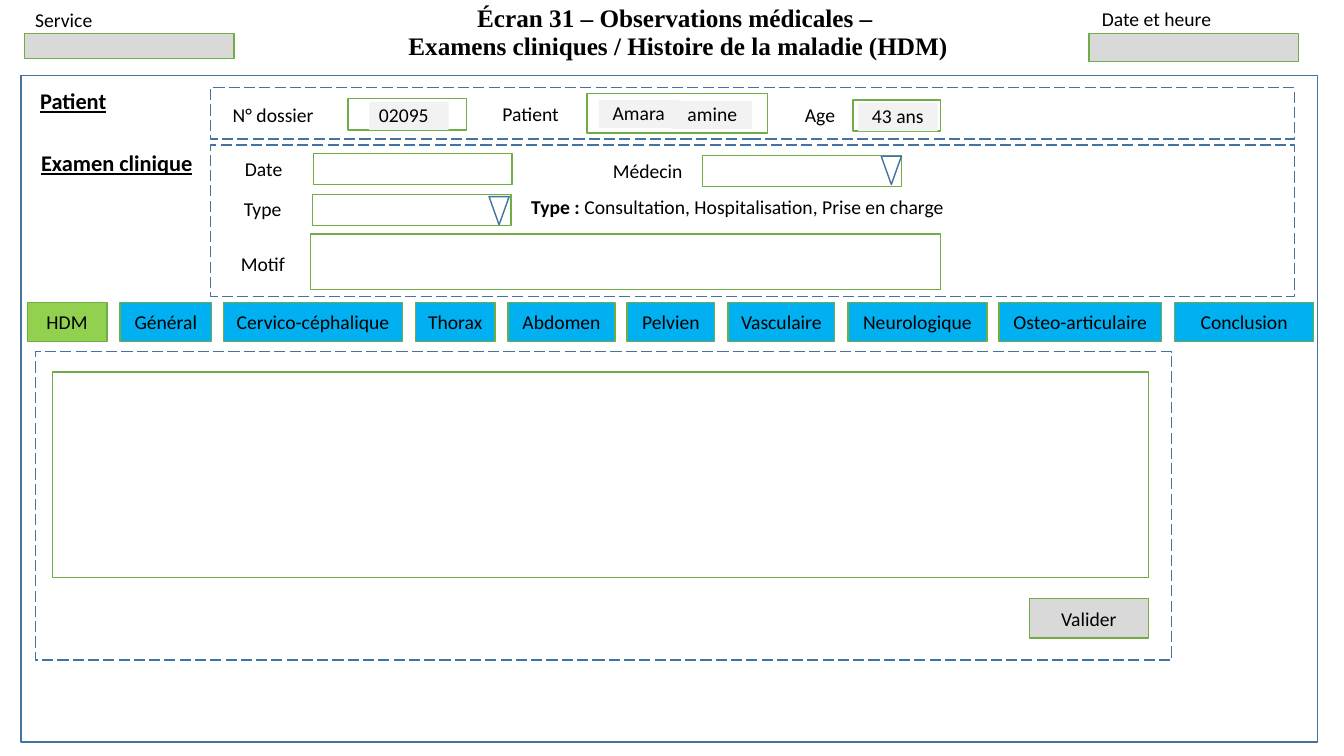
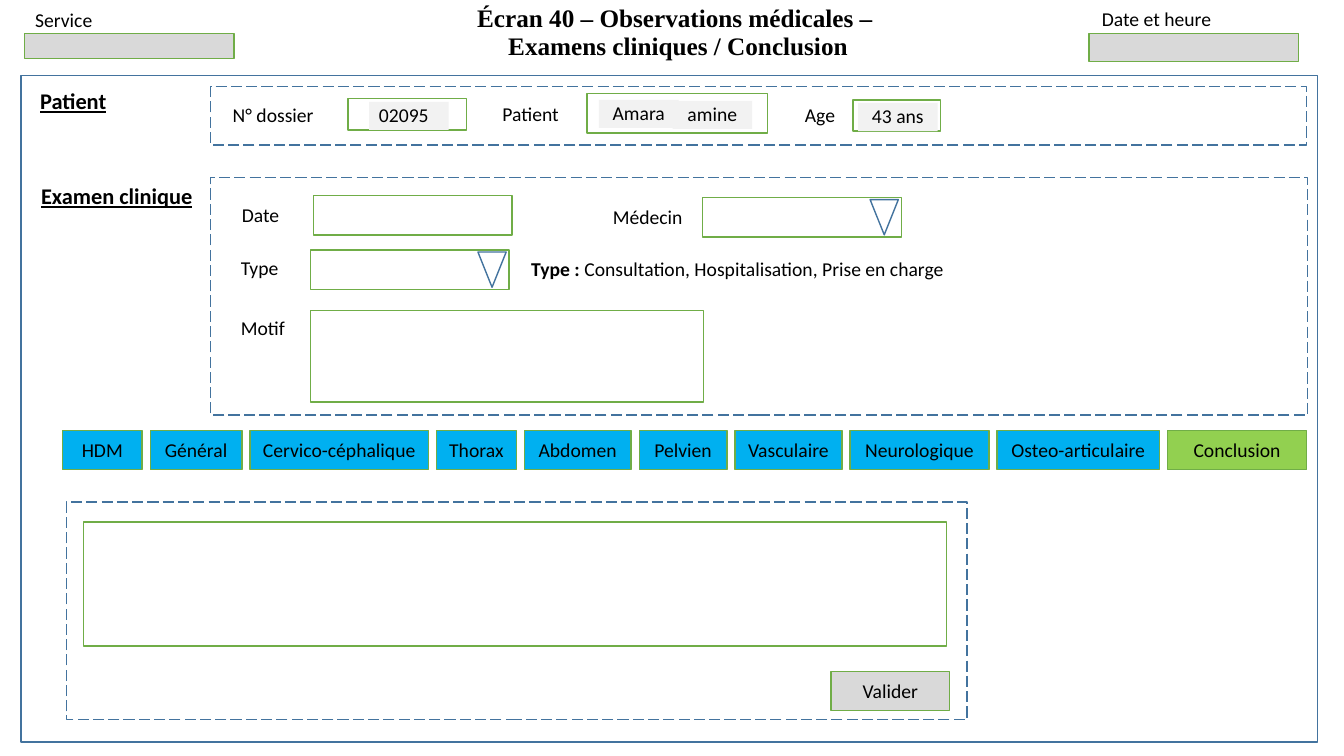
from itertools import accumulate

from pptx import Presentation
from pptx.dml.color import RGBColor
from pptx.enum.dml import MSO_LINE
from pptx.enum.shapes import MSO_SHAPE
from pptx.enum.text import MSO_ANCHOR, PP_ALIGN
from pptx.util import Emu, Pt

EMU_PER_PX = 9144
SLIDE_SIZE = (1333, 750)
COLORS = {
    "text": "000000",
    "frame": "43739E",
    "field": "70AD47",
    "button": "D9D9D9",
    "value": "F2F2F2",
    "tab": "00B0F0",
    "active": "92D050",
}
TABS = {
    "HDM": 79,
    "Général": 91,
    "Cervico-céphalique": 177,
    "Thorax": 79,
    "Abdomen": 106,
    "Pelvien": 87,
    "Vasculaire": 106,
    "Neurologique": 138,
    "Osteo-articulaire": 161,
    "Conclusion": 138,
}
TAB_HEIGHT = 39
SCREENS = [
    {
        "title": ["Écran 31 – Observations médicales – ",
                  "Examens cliniques / Histoire de la maladie (HDM)"],
        "patient_frame": (209, 87, 1075, 51),
        "exam_frame": (209, 144, 1075, 150),
        "exam_heading": (31, 143, 180, 37),
        "labels": {
            "Date": (233, 147, 79, 42),
            "Type": (232, 189, 79, 39),
            "Motif": (229, 245, 79, 35),
        },
        "doctor_label": (586, 150, 113, 40),
        "fields": [(311, 152, 197, 31), (308, 232, 625, 55)],
        "selects": [(310, 193, 197, 31), (697, 154, 197, 31)],
        "arrows": [(485, 195, 20, 28), (874, 155, 20, 28)],
        "type_note": (517, 184, 440, 45),
        "tabs": (27, 1303, 300),
        "active": "HDM",
        "result_frame": (35, 349, 1127, 306),
        "result_field": (52, 369, 1087, 204),
        "validate": (1021, 594, 118, 39),
    },
    {
        "title": ["Écran 40 – Observations médicales – ",
                  "Examens cliniques / Conclusion"],
        "patient_frame": (209, 86, 1087, 58),
        "exam_frame": (209, 176, 1088, 236),
        "exam_heading": (31, 176, 180, 37),
        "labels": {
            "Date": (230, 193, 79, 42),
            "Type": (229, 247, 79, 39),
            "Motif": (229, 309, 79, 35),
        },
        "doctor_label": (586, 196, 113, 40),
        "fields": [(311, 194, 197, 39), (308, 308, 390, 91)],
        "selects": [(308, 248, 197, 39), (697, 196, 197, 39)],
        "arrows": [(474, 250, 28, 35), (863, 198, 28, 35)],
        "type_note": (517, 235, 440, 65),
        "tabs": (62, 1296, 427),
        "active": "Conclusion",
        "result_frame": (66, 498, 893, 216),
        "result_field": (83, 518, 856, 123),
        "validate": (824, 666, 118, 39),
    },
]


def px(length):
    return Emu(length * EMU_PER_PX)


def color(name):
    return RGBColor.from_string(COLORS[name])


def write_text(frame, lines, size=14, font="Calibri", bold=False, underline=False,
               align=PP_ALIGN.LEFT, anchor=MSO_ANCHOR.MIDDLE, spacing=0.95, lead=None):
    frame.word_wrap = True
    frame.vertical_anchor = anchor
    for index, line in enumerate(lines):
        paragraph = frame.add_paragraph() if index else frame.paragraphs[0]
        paragraph.alignment = align
        paragraph.line_spacing = spacing
        runs = [(lead, True), (line, bold)] if lead else [(line, bold)]
        for words, weight in runs:
            run = paragraph.add_run()
            run.text = words
            run.font.size = Pt(size)
            run.font.name = font
            run.font.bold = weight
            run.font.underline = underline
            run.font.color.rgb = color("text")


class Screen:
    def __init__(self, presentation):
        self.slide = presentation.slides.add_slide(presentation.slide_layouts[6])

    def label(self, text, area, **style):
        box = self.slide.shapes.add_textbox(*map(px, area))
        lines = [text] if isinstance(text, str) else text
        write_text(box.text_frame, lines, **style)

    def heading(self, text, area, **style):
        self.label(text, area, size=16, bold=True, underline=True, **style)

    def shape(self, area, fill=None, line=None, kind=MSO_SHAPE.RECTANGLE):
        shape = self.slide.shapes.add_shape(kind, *map(px, area))
        shape.shadow.inherit = False
        if fill:
            shape.fill.solid()
            shape.fill.fore_color.rgb = color(fill)
        else:
            shape.fill.background()
        if line:
            shape.line.color.rgb = color(line)
            shape.line.width = Pt(1)
        else:
            shape.line.fill.background()
        return shape

    def group_frame(self, area):
        self.shape(area, line="frame").line.dash_style = MSO_LINE.LONG_DASH

    def field(self, area, fill=None):
        self.shape(area, fill, "field")

    def select(self, area, arrow):
        self.field(area)
        self.shape(arrow, line="frame", kind=MSO_SHAPE.ISOSCELES_TRIANGLE).rotation = 180

    def value(self, text, left, top, align=PP_ALIGN.CENTER):
        shape = self.shape((left, top, 79, 28), "value")
        write_text(shape.text_frame, [text], align=align)

    def button(self, text, area, fill="button"):
        shape = self.shape(area, fill, "field")
        write_text(shape.text_frame, [text], align=PP_ALIGN.CENTER, spacing=1.0)

    def tabs(self, left, right, top, active):
        gap = (right - left - sum(TABS.values())) / (len(TABS) - 1)
        lefts = accumulate((width + gap for width in TABS.values()), initial=left)
        for (name, width), tab_left in zip(TABS.items(), lefts):
            fill = "active" if name == active else "tab"
            self.button(name, (round(tab_left), top, width, TAB_HEIGHT), fill)

    def header(self, title):
        self.label(title, (345, 7, 655, 59), size=18, font="Times New Roman", bold=True,
                   align=PP_ALIGN.CENTER, anchor=MSO_ANCHOR.BOTTOM)
        self.shape((21, 75, 1286, 661), line="frame")
        self.field((24, 33, 208, 25), "button")
        self.field((1080, 33, 208, 28), "button")
        self.label("Service", (25, 3, 140, 34), anchor=MSO_ANCHOR.TOP, spacing=1.0)
        self.label("Date et heure", (1083, 2, 140, 34), anchor=MSO_ANCHOR.TOP, spacing=1.0)

    def patient(self, frame):
        self.heading("Patient", (30, 77, 118, 48))
        self.group_frame(frame)
        self.label("N° dossier", (215, 93, 112, 43), align=PP_ALIGN.CENTER)
        self.label("Patient ", (476, 92, 105, 43), align=PP_ALIGN.CENTER)
        self.label("Age ", (785, 94, 61, 42), align=PP_ALIGN.CENTER)
        for area in [(345, 98, 118, 31), (582, 93, 179, 39), (846, 99, 87, 31)]:
            self.field(area)
        self.value("02095", 366, 101, align=PP_ALIGN.LEFT)
        self.value("Amara", 594, 99)
        self.value("amine", 667, 100)
        self.value("43 ans", 851, 102)

    def exam(self, layout):
        self.heading("Examen clinique", layout["exam_heading"],
                     anchor=MSO_ANCHOR.TOP, spacing=1.0)
        self.group_frame(layout["exam_frame"])
        for text, area in layout["labels"].items():
            self.label(text, area)
        self.label("Médecin", layout["doctor_label"], align=PP_ALIGN.CENTER)
        for area in layout["fields"]:
            self.field(area)
        for area, arrow in zip(layout["selects"], layout["arrows"]):
            self.select(area, arrow)
        self.label("Consultation, Hospitalisation, Prise en charge",
                   layout["type_note"], lead="Type : ")

    def result(self, layout):
        self.group_frame(layout["result_frame"])
        self.field(layout["result_field"])
        self.button("Valider", layout["validate"])


def main():
    presentation = Presentation()
    presentation.slide_width, presentation.slide_height = map(px, SLIDE_SIZE)
    for layout in SCREENS:
        screen = Screen(presentation)
        screen.header(layout["title"])
        screen.patient(layout["patient_frame"])
        screen.exam(layout)
        screen.tabs(*layout["tabs"], layout["active"])
        screen.result(layout)
    presentation.save("out.pptx")


if __name__ == "__main__":
    main()
